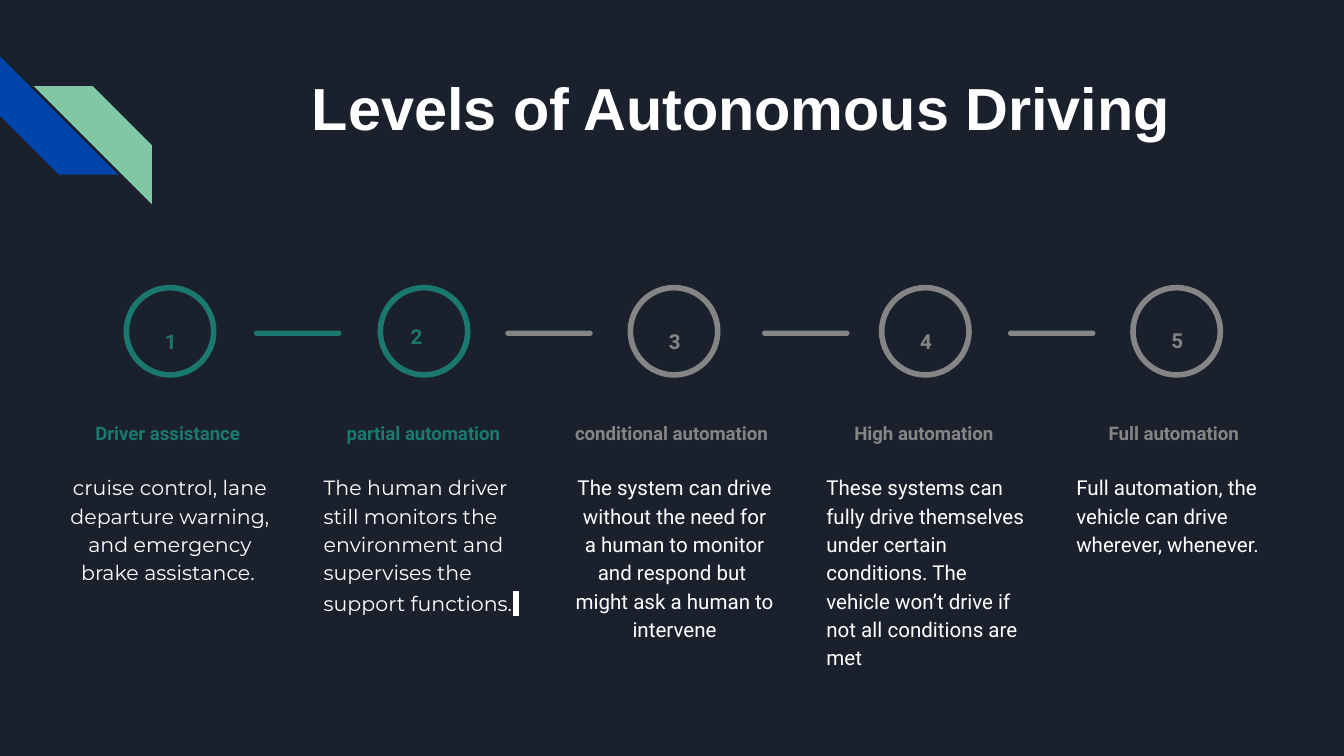
from dataclasses import dataclass

from lxml.etree import SubElement
from pptx import Presentation
from pptx.dml.color import RGBColor
from pptx.enum.shapes import MSO_SHAPE
from pptx.enum.text import MSO_ANCHOR, PP_ALIGN
from pptx.oxml.ns import qn
from pptx.util import Inches, Pt

BACKGROUND, WHITE = "1B212C", "FFFFFF"
BLUE, MINT = "0145AC", "82C7A5"
TEAL, GRAY = "1B786E", "858585"
CENTER, LEFT = PP_ALIGN.CENTER, PP_ALIGN.LEFT


def color(value):
    return RGBColor.from_string(value)


def add_span(para, text, size, fill, font, bold=False, highlight=None):
    span = para.add_run()
    span.text = text
    span.font.size = Pt(size)
    span.font.bold = bold
    span.font.color.rgb = color(fill)
    if highlight:
        mark = SubElement(span._r.get_or_add_rPr(), qn("a:highlight"))
        SubElement(mark, qn("a:srgbClr")).set("val", highlight)
    span.font.name = font


def write(shape, text, align=CENTER, anchor=MSO_ANCHOR.TOP, spacing=1.15,
          after=0, **style):
    """Fill the shape with one paragraph and return that paragraph."""
    frame = shape.text_frame
    frame.word_wrap = True
    frame.vertical_anchor = anchor
    frame.margin_left = frame.margin_right = Inches(0.1)
    frame.margin_top = frame.margin_bottom = Inches(0.1)
    para = frame.paragraphs[0]
    para.alignment = align
    para.line_spacing = spacing
    para.space_before = Pt(0)
    para.space_after = Pt(after)
    add_span(para, text, **style)
    return para


@dataclass
class Level:
    name: str
    detail: str
    accent: str
    circle_left: float
    left: float
    width: float = 1.68
    height: float = 0.81
    name_width: float = 1.68
    align: PP_ALIGN = LEFT
    name_align: PP_ALIGN = CENTER
    font: str = "Roboto"
    filled: bool = False
    number_shift: float = 0.09
    number_top: float = 2.32


LEVELS = [
    Level("Driver assistance ",
          "cruise control, lane departure warning, and emergency brake assistance.",
          TEAL, 0.94, 0.4, 1.73, 1.72, name_width=1.73, align=CENTER,
          font="Montserrat", filled=True),
    Level("partial automation",
          "The human driver still monitors the environment and supervises "
          "the support functions.",
          TEAL, 2.83, 2.31, 1.86, 1.46, font="Montserrat", filled=True,
          number_shift=0.03, number_top=2.28),
    Level("conditional automation",
          "The system can drive without the need for a human to monitor "
          "and respond but  might ask a human to intervene",
          GRAY, 4.69, 4.18, height=1.26, align=CENTER, name_align=LEFT),
    Level("High automation ",
          "These systems can fully drive themselves under certain conditions. "
          "The vehicle won’t drive if not all conditions are met",
          GRAY, 6.56, 6.05),
    Level("Full automation ",
          "Full automation, the vehicle can drive wherever, whenever.",
          GRAY, 8.43, 7.91, number_top=2.31),
]
BARS = [(1.89, TEAL), (3.76, GRAY), (5.67, GRAY), (7.5, GRAY)]


class Slide:
    def __init__(self, deck):
        self.page = deck.slides.add_slide(deck.slide_layouts[5])
        self.page.background.fill.solid()
        self.page.background.fill.fore_color.rgb = color(BACKGROUND)

    def title(self, text):
        box = self.page.shapes.title
        box.left, box.top = Inches(1.42), Inches(0.43)
        box.width, box.height = Inches(8.19), Inches(0.72)
        write(box, text, spacing=1, size=31.8, fill=WHITE, font="Arial",
              bold=True, highlight=BACKGROUND)

    def text(self, text, left, top, width, height, **style):
        box = self.page.shapes.add_textbox(
            Inches(left), Inches(top), Inches(width), Inches(height))
        return write(box, text, **style)

    def shape(self, kind, left, top, width, height, fill=None, line=None):
        shape = self.page.shapes.add_shape(
            kind, Inches(left), Inches(top), Inches(width), Inches(height))
        shape.shadow.inherit = False
        if fill:
            shape.fill.solid()
            shape.fill.fore_color.rgb = color(fill)
        else:
            shape.fill.background()
        if line:
            shape.line.color.rgb = color(line)
            shape.line.width = Pt(3)
        else:
            shape.line.fill.background()
        return shape

    def corner_stripes(self):
        blue = self.shape(MSO_SHAPE.DIAGONAL_STRIPE, 0, 0.42, 0.88, 0.88, BLUE)
        blue.rotation = 270
        mint = self.shape(MSO_SHAPE.DIAGONAL_STRIPE, 0.25, 0.64, 0.88, 0.88, MINT)
        mint._element.spPr.get_or_add_xfrm().set("flipH", "1")

    def bar(self, left, fill):
        bar = self.shape(MSO_SHAPE.ROUNDED_RECTANGLE, left, 2.46, 0.65, 0.04, fill)
        bar.adjustments[0] = 0.5

    def level(self, number, level):
        """Draw one level and return the paragraph of its description."""
        accent = dict(fill=level.accent, font="Roboto", bold=True)
        self.shape(MSO_SHAPE.OVAL, level.circle_left, 2.14, 0.65, 0.65,
                   line=level.accent)
        self.text(str(number), level.circle_left + level.number_shift,
                  level.number_top, 0.48, 0.35, after=16, size=11, **accent)
        self.text(level.name, level.left, 2.91, level.name_width, 0.49,
                  align=level.name_align, anchor=MSO_ANCHOR.BOTTOM, size=10, **accent)
        area = (level.left, 3.41, level.width, level.height)
        style = dict(align=level.align, after=16, size=11, fill=WHITE, font=level.font)
        if level.filled:
            panel = self.shape(MSO_SHAPE.RECTANGLE, *area, fill=BACKGROUND)
            return write(panel, level.detail, **style)
        return self.text(level.detail, *area, **style)


def main():
    deck = Presentation()
    deck.slide_width = Inches(10)
    deck.slide_height = deck.slide_width * 9 // 16
    slide = Slide(deck)
    slide.corner_stripes()
    slide.title("Levels of Autonomous Driving")
    for left, fill in BARS:
        slide.bar(left, fill)
    details = [slide.level(number, level) for number, level in enumerate(LEVELS, 1)]
    add_span(details[0], " ", 8, TEAL, "Roboto")
    add_span(details[1], " ", 12, "33383A", "Arial", highlight=WHITE)
    deck.save("out.pptx")


if __name__ == "__main__":
    main()
